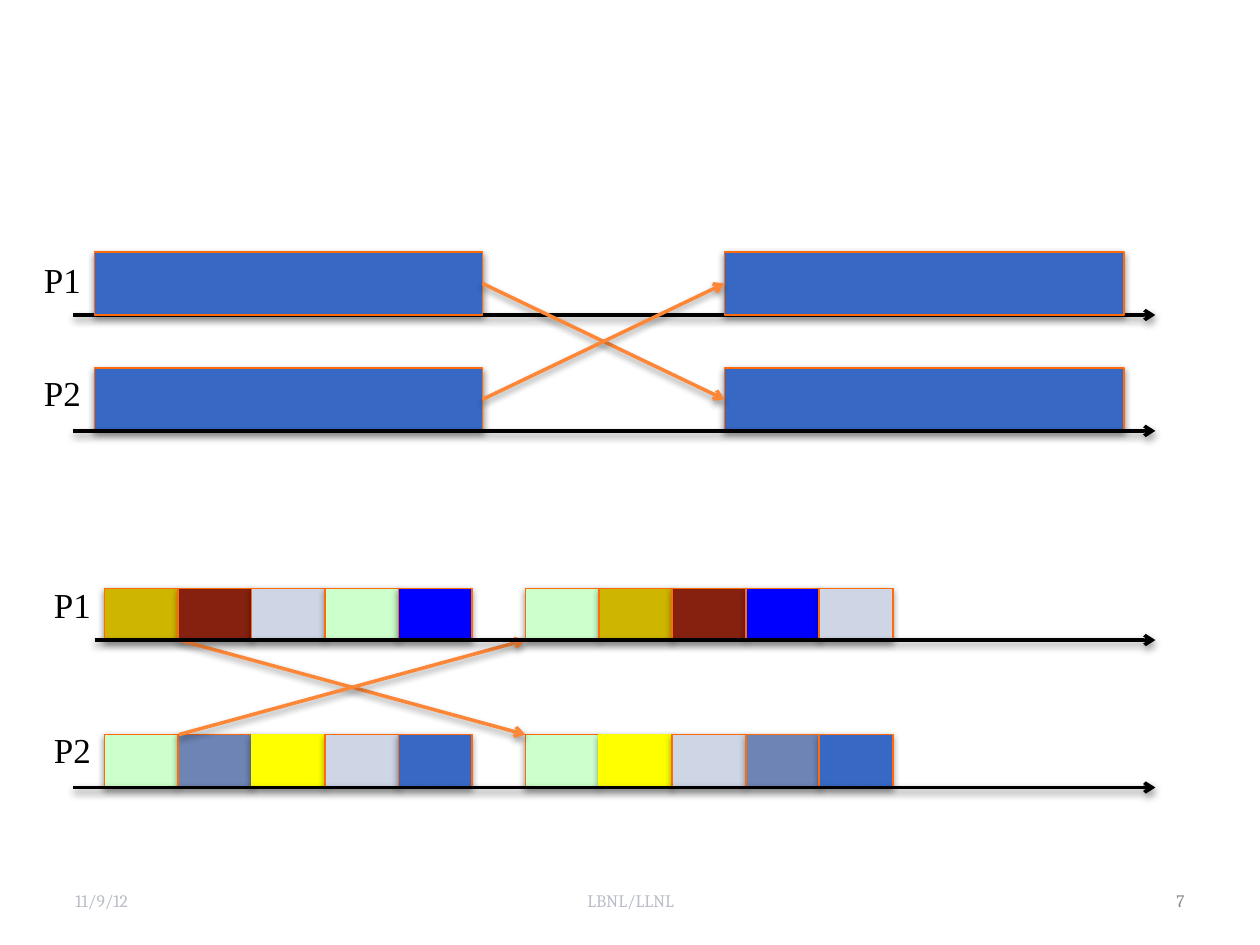
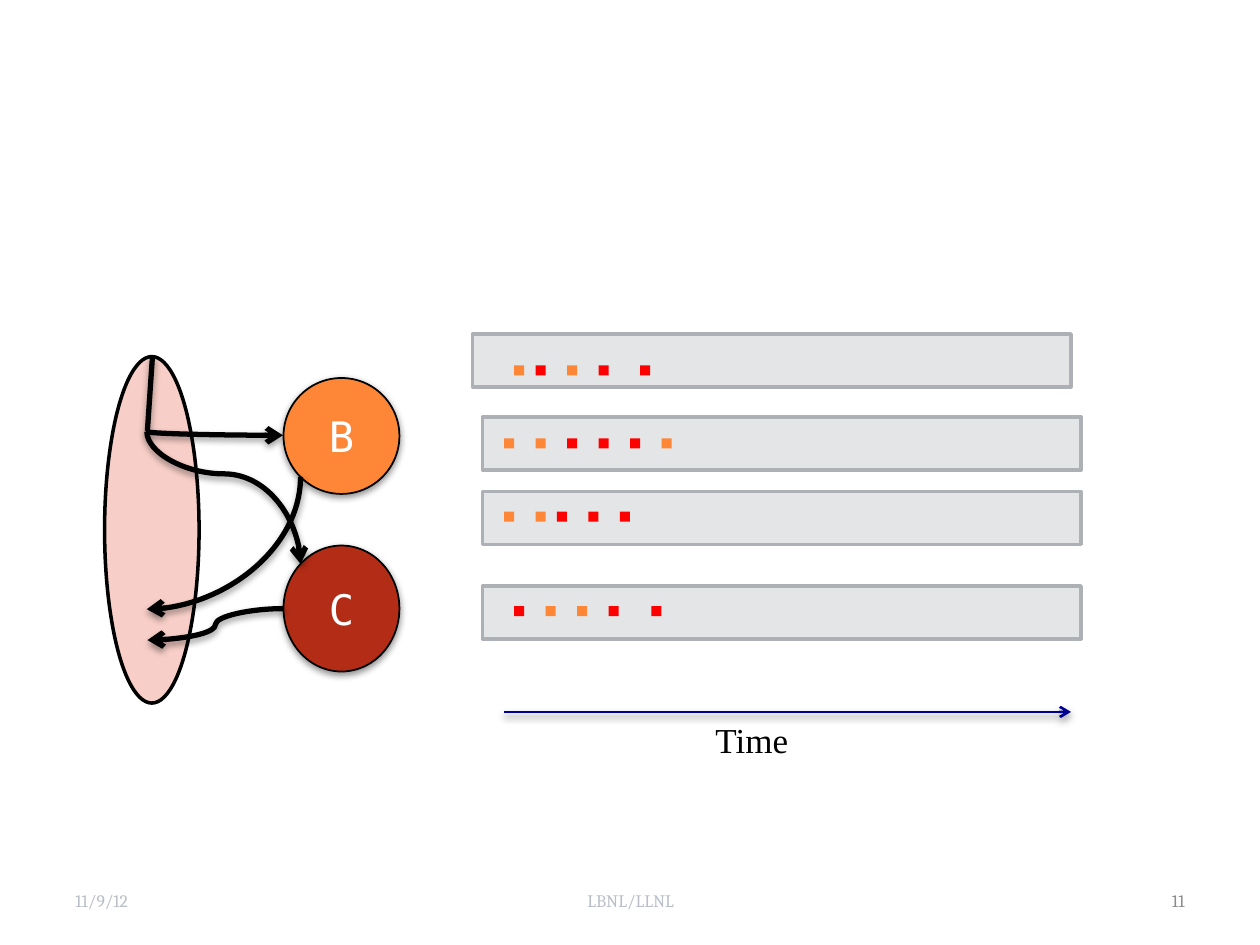
from lxml import etree
from pptx import Presentation
from pptx import util as u
from pptx.dml.color import RGBColor
from pptx.enum import shapes, text
from pptx.oxml.ns import qn

RECT = shapes.MSO_SHAPE.RECTANGLE
OVAL = shapes.MSO_SHAPE.OVAL
LINK = shapes.MSO_CONNECTOR
ALIGN = text.PP_ALIGN

COLORS = dict(
    black="000000", white="FFFFFF", pale="B9BEC7", gray="8C8C8C",
    edge="FF6B0A", orange="FE8637", red="FF0000", navy="000090",
    blue="3668C4", gold="CEB500", brown="862110", mist="CED6E6",
    mint="CCFFCC", deep="0000FF", yellow="FFFF00", slate="6E84B4",
    track="E4E5E6", rim="ADB0B5", rust="B32C16", pink="F8CFC8")


def color(name):
    return RGBColor.from_string(COLORS[name])


class Deck:
    """Holds the style and the current slide."""
    serif, plain, mono = "Cambria", "Times New Roman", "DejaVu Sans Mono"

    def __init__(self):
        self.prs = Presentation()
        self.prs.slide_width, self.prs.slide_height = u.Inches(10), u.Inches(7.5)

    def page(self, number):
        self.slide = self.prs.slides.add_slide(self.prs.slide_layouts[6])
        for x, w, words, align, tint in (
                (0.5, 2.33, "11/9/12", ALIGN.LEFT, "pale"),
                (3.42, 3.17, "LBNL/LLNL", ALIGN.CENTER, "pale"),
                (7.17, 2.33, str(number), ALIGN.RIGHT, "gray")):
            frame = self.label(x, 6.95, w, words, 0.4, 10, self.serif, tint, align)
            frame.auto_size = text.MSO_AUTO_SIZE.NONE
            frame.vertical_anchor = text.MSO_ANCHOR.MIDDLE

    def letter(self, frame, words, size, font, tint, align):
        frame.word_wrap = True
        par = frame.paragraphs[0]
        par.text, par.alignment = words, align
        par.font.size, par.font.name = u.Pt(size), font
        par.font.color.rgb = color(tint)

    def label(self, x, y, w, words, h=0.44, size=20, font=plain,
              tint="black", align=ALIGN.LEFT):
        frame = self.slide.shapes.add_textbox(
            *map(u.Inches, (x, y, w, h))).text_frame
        frame.auto_size = text.MSO_AUTO_SIZE.SHAPE_TO_FIT_TEXT
        self.letter(frame, words, size, font, tint, align)
        return frame

    def shade(self, effect, alpha, dist):
        glow = etree.SubElement(
            effect, qn("a:outerShdw"), blurRad=str(u.Pt(4)),
            dist=str(u.Pt(dist)), dir="5400000", rotWithShape="0")
        tint = etree.SubElement(glow, qn("a:srgbClr"), val=COLORS["black"])
        etree.SubElement(tint, qn("a:alpha"), val=str(alpha * 1000))

    def shape(self, x, y, w, h, fill, edge="edge", width=1, kind=RECT,
              shadow=True):
        item = self.slide.shapes.add_shape(kind, *map(u.Inches, (x, y, w, h)))
        item.fill.solid()
        item.fill.fore_color.rgb = color(fill)
        if edge:
            item.line.color.rgb = color(edge)
            item.line.width = u.Pt(width)
        else:
            item.line.fill.background()
        item.shadow.inherit = False
        if shadow:
            self.shade(item._element.spPr.find(qn("a:effectLst")), 42, 1.6)
        return item

    def disc(self, x, y, w, h, fill, name):
        item = self.shape(x, y, w, h, fill, "black", kind=OVAL)
        item.text_frame.vertical_anchor = text.MSO_ANCHOR.MIDDLE
        self.letter(item.text_frame, name, 24, self.mono, "white", ALIGN.CENTER)

    def line(self, x1, y1, x2, y2, tint="black", width=2, arrow=True,
             kind=LINK.STRAIGHT):
        item = self.slide.shapes.add_connector(
            kind, *map(u.Inches, (x1, y1, x2, y2)))
        item.line.color.rgb = color(tint)
        item.line.width = u.Pt(width)
        props = item._element.spPr
        if arrow:
            etree.SubElement(props.find(qn("a:ln")), qn("a:tailEnd"), type="arrow")
        self.shade(etree.SubElement(props, qn("a:effectLst")), 40, 2)
        return item

    def curve(self, x, y, w, h, turn, flip=None, bends=3, bend=0.5):
        """Curved arrow in the frame x, y, w, h, turned by some degrees."""
        item = self.line(x, y, x + w, y + h, width=3, kind=LINK.CURVE)
        props = item._element.spPr
        frame = props.find(qn("a:xfrm"))
        frame.set("rot", str(turn * 60000))
        if flip:
            frame.set(flip, "1")
        geom = props.find(qn("a:prstGeom"))
        geom.set("prst", f"curvedConnector{bends}")
        if bends == 3:
            etree.SubElement(geom.find(qn("a:avLst")), qn("a:gd"), name="adj1",
                             fmla=f"val {round(bend * 100000)}")

    def cells(self, x, y, names):
        step = 7 / 12
        for i, name in enumerate(names.split()):
            edge = "yellow" if name == "yellow" else "edge"
            self.shape(x + i * step, y, step, 0.42, name, edge)


def swap(deck):
    deck.page(7)

    # Two long phases per process
    def bars(y):
        return [deck.shape(x, y, w, 0.5, "blue") for x, w in ((0.75, 3.08), (5.75, 3.17))]

    low = bars(2.92)
    deck.line(0.58, 2.5, 9.17, 2.5)
    high = bars(2)

    # Phases split into small tasks
    left, right, top, base = 0.83, 4.17, 4.67, 5.83
    deck.cells(left, top, "gold brown mist mint deep")
    deck.cells(right, base, "mint yellow mist slate blue")
    deck.cells(right, top, "mint gold brown deep mist")
    deck.cells(left, base, "mint slate yellow mist blue")

    # Exchanges between the processes
    for start, end, y1, y2 in ((high[0], low[1], 2.25, 3.17),
                               (low[0], high[1], 3.17, 2.25)):
        link = deck.line(3.83, y1, 5.75, y2, "orange")
        link.begin_connect(start, 3)
        link.end_connect(end, 1)
    for y1, y2 in ((5.08, base), (base, 5.08)):
        deck.line(1.42, y1, right, y2, "orange")

    # Time axes and process names
    for x, y in ((0.58, 3.42), (0.75, 5.08), (0.58, 6.25)):
        deck.line(x, y, 9.17, y)
    for x, y, name in ((0.25, 2, "P1"), (0.25, 2.9, "P2"),
                       (0.33, 4.58, "P1"), (0.33, 5.73, "P2")):
        deck.label(x, y, 0.58, name)


def events(deck):
    deck.page(11)

    # Tracks with their events: x, y, event y, places by colour
    tracks = (
        (3.75, 2.65, 2.9, dict(orange=(4.08, 4.5), red=(4.25, 4.75, 5.08))),
        (3.83, 3.31, 3.48, dict(orange=(4, 4.25, 5.25), red=(4.5, 4.75, 5))),
        (3.83, 3.9, 4.06, dict(orange=(4, 4.25), red=(4.42, 4.67, 4.92))),
        (3.83, 4.65, 4.81, dict(orange=(4.33, 4.58), red=(4.08, 4.83, 5.17))))
    for x, y, row, dots in tracks:
        deck.shape(x, y, 4.75, 0.42, "track", "rim", 2, shadow=False)
        for tint, spots in dots.items():
            for spot in spots:
                deck.shape(spot, row, 0.08, 0.08, tint, None, shadow=False)

    # Time axis
    deck.line(4, 5.65, 8.5, 5.65, "navy", 1.5)
    deck.label(5.58, 5.65, 1, "Time")

    # States and the pool they come from
    deck.disc(2.25, 3, 0.92, 0.92, "orange", "B")
    deck.disc(2.25, 4.33, 0.92, 1, "rust", "C")
    for x, y, w, h, fill in ((0.83, 2.83, 0.75, 2.75, "pink"),
                             (1.17, 3.42, 0.01, 0.01, "black")):
        deck.shape(x, y, w, h, fill, "black", 2, OVAL, shadow=False)

    # Paths between pool and states
    deck.line(1.21, 2.83, 1.17, 3.42, width=3, arrow=False)
    deck.curve(1.69, 2.9, 0.03, 1.08, 270, "flipH", bends=2)
    deck.curve(1.25, 3.7, 1.05, 1.22, 90, bends=2)
    deck.curve(1.25, 3.34, 1.05, 1.22, 270, "flipH", bend=0.32)
    deck.curve(1.17, 4.83, 1.08, 0.25, 180, "flipV")


def main():
    deck = Deck()
    swap(deck)
    events(deck)
    deck.prs.save("out.pptx")


if __name__ == "__main__":
    main()
